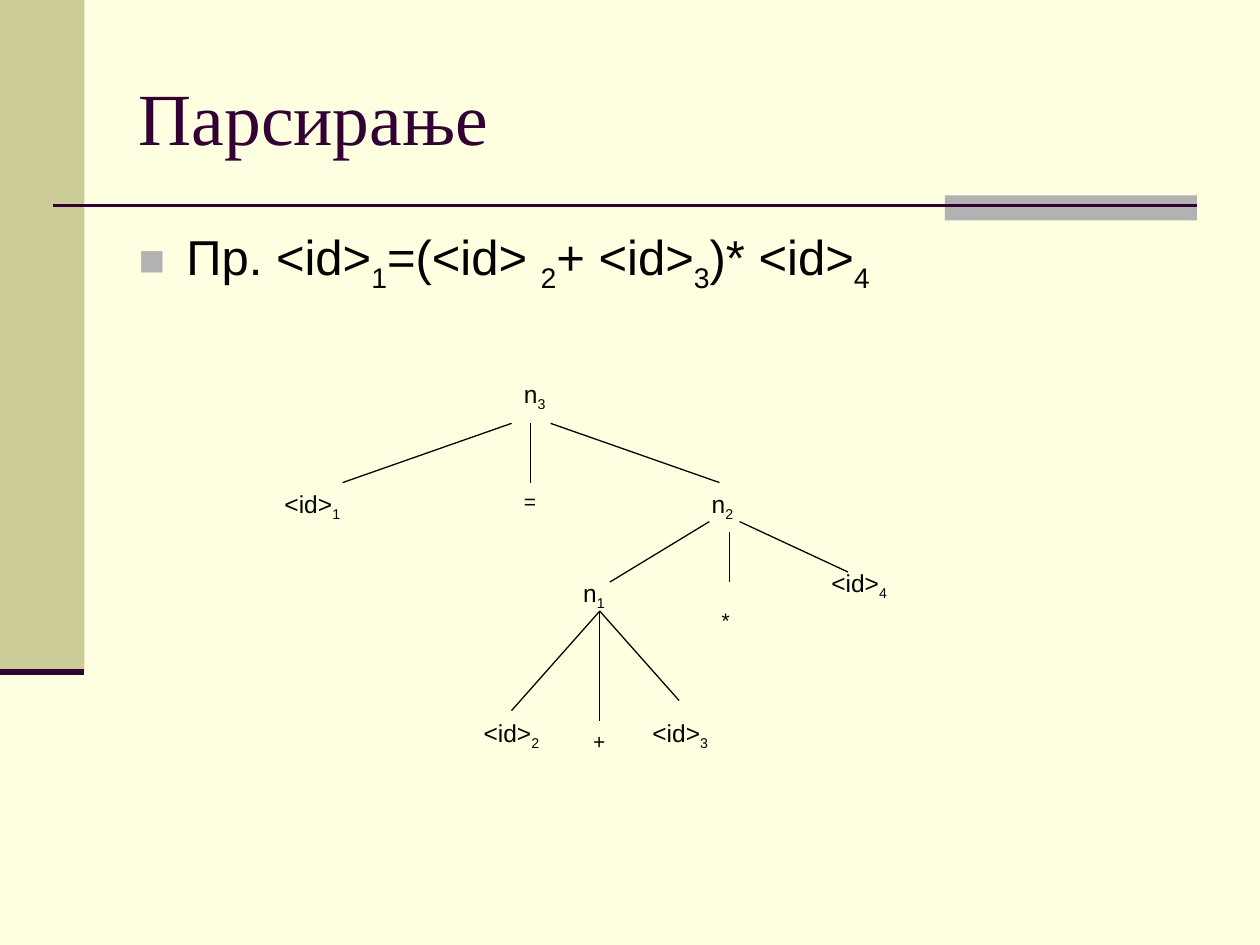
from dataclasses import dataclass

from lxml import etree
from pptx import Presentation
from pptx import util as u
from pptx.dml.color import RGBColor
from pptx.enum import shapes, text
from pptx.oxml.ns import qn


@dataclass(frozen=True)
class Theme:
    background: str = "FFFFE1"
    sidebar: str = "CCCC99"
    accent: str = "B2B2B2"
    heading: str = "330033"
    ink: str = "000000"
    heading_font: str = "Times New Roman"
    body_font: str = "Arial"
    title_size: float = 42
    body_size: float = 28
    node_size: float = 14
    operator_size: float = 12
    branch_width: float = 0.75


THEME = Theme()
SUBSCRIPT = "-25000"

FORMULA = [("Пр. <id>", "1"), ("=(<id> ", "2"), ("+ <id>", "3"), (")* <id>", "4")]

NODES = [
    ("n", "3", 4.06, 2.96, 0.87),
    ("<id>", "1", 2.16, 3.83, 1.26),
    ("n", "2", 5.55, 3.83, 0.47),
    ("n", "1", 4.53, 4.54, 0.47),
    ("<id>", "4", 6.5, 4.46, 1.26),
    ("<id>", "2", 3.74, 5.65, 0.87),
    ("<id>", "3", 5.08, 5.65, 1.1),
]

OPERATORS = [("=", 4.06, 3.83), ("*", 5.63, 4.77), ("+", 4.61, 5.73)]

BRANCHES = [
    ((4.06, 3.36), (2.72, 3.83)),
    ((4.21, 3.36), (4.21, 3.83)),
    ((4.37, 3.36), (5.71, 3.83)),
    ((5.63, 4.14), (4.84, 4.62)),
    ((5.79, 4.22), (5.79, 4.62)),
    ((5.87, 4.14), (6.73, 4.54)),
    ((4.76, 4.85), (4.06, 5.64)),
    ((4.76, 4.85), (4.76, 5.72)),
    ((4.76, 4.85), (5.39, 5.56)),
]


def rgb(value):
    return RGBColor.from_string(value)


def inches(*lengths):
    return [u.Inches(length) for length in lengths]


def style(paragraph, font_name, size, color):
    paragraph.font.name = font_name
    paragraph.font.size = u.Pt(size)
    paragraph.font.color.rgb = rgb(color)


def add_subscripted(paragraph, pairs):
    for base, index in pairs:
        paragraph.add_run().text = base
        if index:
            subscript = paragraph.add_run()
            subscript.text = index
            subscript._r.get_or_add_rPr().set("baseline", SUBSCRIPT)


def add_block(slide, left, top, width, height, color):
    block = slide.shapes.add_shape(
        shapes.MSO_SHAPE.RECTANGLE, *inches(left, top, width, height))
    block.shadow.inherit = False
    block.fill.solid()
    block.fill.fore_color.rgb = rgb(color)
    block.line.fill.background()


def add_line(slide, start, end, color, width):
    line = slide.shapes.add_connector(
        shapes.MSO_CONNECTOR.STRAIGHT, *inches(*start, *end))
    line.line.color.rgb = rgb(color)
    line.line.width = u.Pt(width)
    etree.SubElement(line._element.spPr, qn("a:effectLst"))


def add_label(slide, base, index, left, top, width, height, size):
    label = slide.shapes.add_textbox(*inches(left, top, width, height))
    label.text_frame.word_wrap = True
    paragraph = label.text_frame.paragraphs[0]
    add_subscripted(paragraph, [(base, index)])
    style(paragraph, THEME.body_font, size, THEME.ink)


def place(placeholder, left, top, width, height, anchor):
    placeholder.left, placeholder.top, placeholder.width, placeholder.height = inches(
        left, top, width, height)
    frame = placeholder.text_frame
    frame.auto_size = text.MSO_AUTO_SIZE.NONE
    frame.vertical_anchor = anchor
    paragraph = frame.paragraphs[0]
    paragraph.alignment = text.PP_ALIGN.LEFT
    paragraph.space_before = u.Pt(0)
    return paragraph


def add_bullet(paragraph):
    properties = paragraph._p.get_or_add_pPr()
    properties.set("marL", str(u.Inches(0.38)))
    properties.set("indent", str(-u.Inches(0.38)))
    color = etree.SubElement(properties, qn("a:buClr"))
    etree.SubElement(color, qn("a:srgbClr"), val=THEME.accent)
    etree.SubElement(properties, qn("a:buSzPct"), val="90000")
    etree.SubElement(properties, qn("a:buFont"), typeface=THEME.body_font)
    etree.SubElement(properties, qn("a:buChar"), char="■")


def add_frame(slide):
    slide.background.fill.solid()
    slide.background.fill.fore_color.rgb = rgb(THEME.background)
    add_block(slide, 0, 0, 0.67, 5.33, THEME.sidebar)
    add_block(slide, 7.5, 1.55, 2, 0.2, THEME.accent)
    add_line(slide, (0.42, 1.63), (9.5, 1.63), THEME.heading, 1.5)
    add_line(slide, (0, 5.33), (0.67, 5.33), THEME.heading, 3.5)


def add_heading(slide):
    heading = place(slide.shapes.title, 1, 0.3, 8.5, 1.25, text.MSO_ANCHOR.MIDDLE)
    heading.add_run().text = "Парсирање"
    style(heading, THEME.heading_font, THEME.title_size, THEME.heading)


def add_formula(slide):
    formula = place(slide.placeholders[1], 1, 1.75, 8.5, 4.95, text.MSO_ANCHOR.TOP)
    add_bullet(formula)
    add_subscripted(formula, FORMULA)
    style(formula, THEME.body_font, THEME.body_size, THEME.ink)


def add_parse_tree(slide):
    for start, end in BRANCHES:
        add_line(slide, start, end, THEME.ink, THEME.branch_width)
    for base, index, left, top, width in NODES:
        add_label(slide, base, index, left, top, width, 0.37, THEME.node_size)
    for symbol, left, top in OPERATORS:
        add_label(slide, symbol, "", left, top, 0.47, 0.3, THEME.operator_size)


def main():
    deck = Presentation()
    deck.slide_width, deck.slide_height = inches(10, 7.5)
    slide = deck.slides.add_slide(deck.slide_layouts[1])
    add_frame(slide)
    add_heading(slide)
    add_formula(slide)
    add_parse_tree(slide)
    deck.save("out.pptx")


if __name__ == "__main__":
    main()
